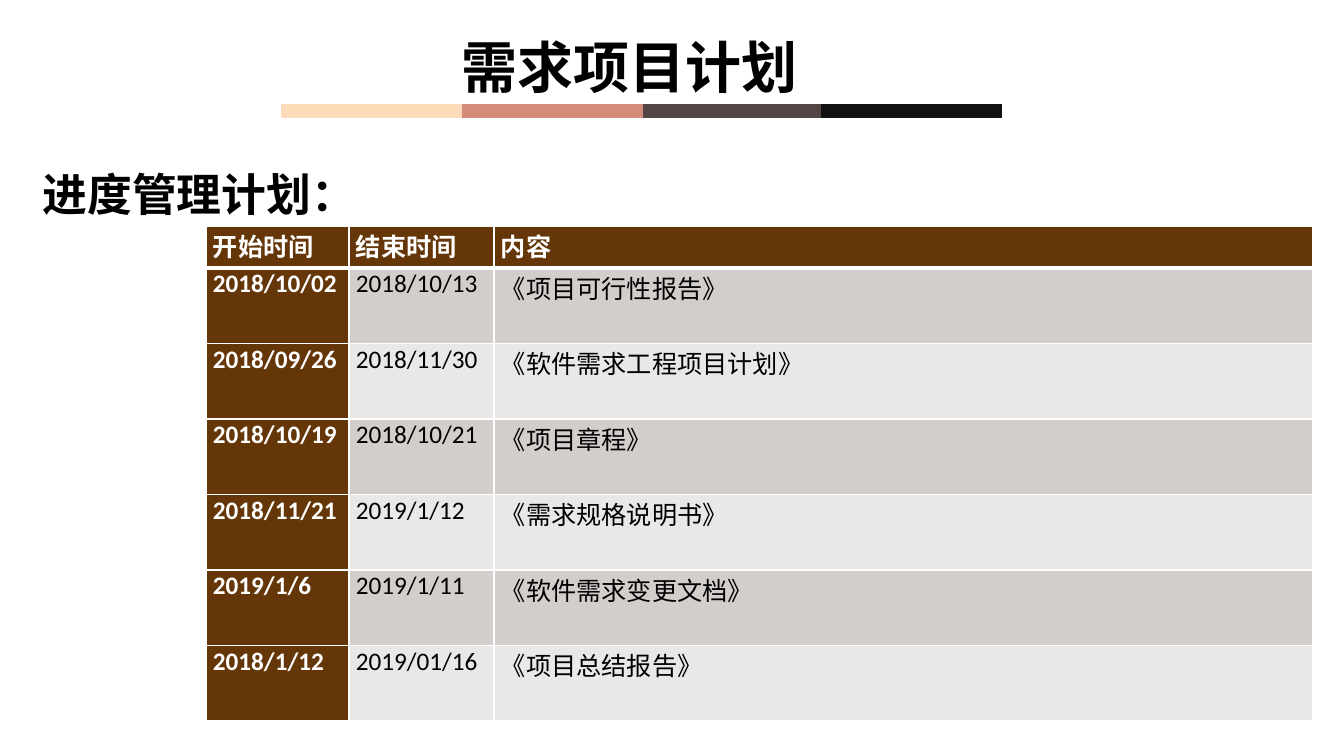
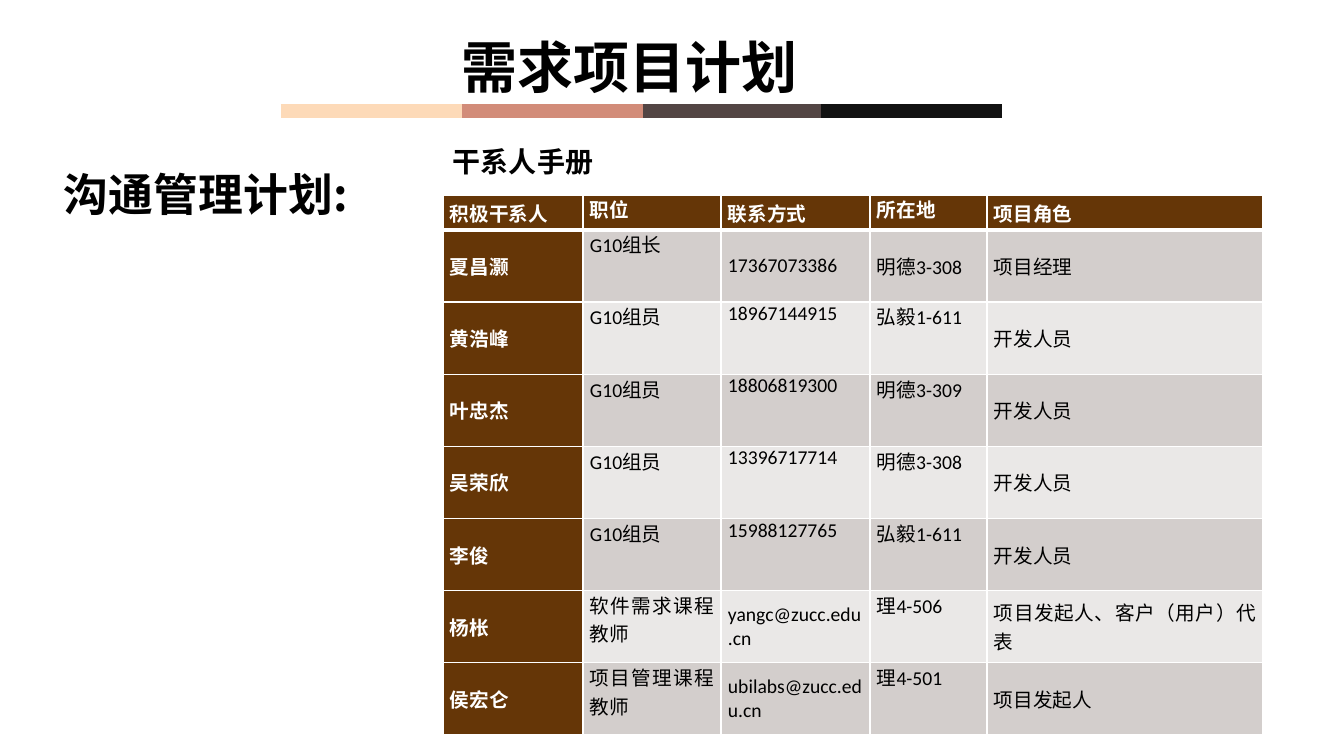
"""Build two project plan slides: the schedule and the stakeholder handbook."""
from dataclasses import dataclass

from lxml import etree
from pptx import Presentation
from pptx import util as u
from pptx.dml.color import RGBColor
from pptx.enum import shapes, text
from pptx.oxml.ns import qn


@dataclass(frozen=True)
class Theme:
    ink: str = "000000"
    paper: str = "FFFFFF"
    brown: str = "653607"
    stripes: tuple = ("D3CECC", "EAE8E7")
    title_font: str = "Quicksand"
    heading_font: str = "Noto Sans CJK SC"
    body_font: str = "Calibri"
    title_size: int = 40
    heading_size: int = 32
    caption_size: int = 20
    band_width: int = 10
    grid_width: int = 1
    header_rule: int = 3


THEME = Theme()
ANCHORS = {"m": text.MSO_ANCHOR.MIDDLE, "t": text.MSO_ANCHOR.TOP}
CENTER = text.PP_ALIGN.CENTER

TITLE = "需求项目计划"
BAND_Y, BAND_LENGTH = 111, 181
BANDS = [(281, "FDDAB8"), (462, "D28C79"), (643, "534544"), (821, "121212")]

SCHEDULE = {
    "heading": ("进度管理计划：", (31, 162, 337, 64)),
    "table": {
        "at": (206, 226), "height": 495, "header": 42,
        "columns": (143, 145, 819), "size": 18, "top": 1, "align": None,
        "rows": [
            ("ttt", "开始时间", "结束时间", "内容"),
            ("ttt", "2018/10/02", "2018/10/13", "《项目可行性报告》"),
            ("ttt", "2018/09/26", "2018/11/30", "《软件需求工程项目计划》"),
            ("ttt", "2018/10/19", "2018/10/21", "《项目章程》"),
            ("ttt", "2018/11/21", "2019/1/12", "《需求规格说明书》"),
            ("ttt", "2019/1/6", "2019/1/11", "《软件需求变更文档》"),
            ("ttt", "2018/1/12", "2019/01/16", "《项目总结报告》"),
        ],
    },
}
STAKEHOLDERS = {
    "heading": ("沟通管理计划:", (48, 162, 301, 64)),
    "caption": ("干系人手册", (443, 140, 161, 44)),
    "table": {
        "at": (443, 195), "height": 540, "header": 35,
        "columns": (140, 138, 149, 117, 276), "size": 14, "top": 0,
        "align": text.PP_ALIGN.JUSTIFY,
        "rows": [
            ("mtmtm", "积极干系人", "职位", "联系方式", "所在地", "项目角色"),
            ("mtmmm", "夏昌灏", "G10组长", "17367073386", "明德3-308", "项目经理"),
            ("mtttm", "黄浩峰", "G10组员", "18967144915", "弘毅1-611", "开发人员"),
            ("mtttm", "叶忠杰", "G10组员", "18806819300", "明德3-309", "开发人员"),
            ("mtttm", "吴荣欣", "G10组员", "13396717714", "明德3-308", "开发人员"),
            ("mtttm", "李俊", "G10组员", "15988127765", "弘毅1-611", "开发人员"),
            ("mtmtm", "杨枨", "软件需求课程教师", "yangc@zucc.edu.cn", "理4-506",
             "项目发起人、客户（用户）代表"),
            ("mtmtm", "侯宏仑", "项目管理课程教师", "ubilabs@zucc.edu.cn", "理4-501",
             "项目发起人"),
        ],
    },
}


def px(length):
    return u.Inches(length / 100.8)


def add_span(para, words, font, size, color, bold=True):
    span = para.add_run()
    span.text = words
    span.font.name = font
    span.font.size = u.Pt(size)
    span.font.bold = bold
    span.font.color.rgb = RGBColor.from_string(color)


def add_label(page, words, at, font, size, align=None, wrap=False):
    box = page.shapes.add_textbox(*map(px, at))
    box.text_frame.word_wrap = wrap
    para = box.text_frame.paragraphs[0]
    para.alignment = align
    add_span(para, words, font, size, THEME.ink)
    return para


def add_band(page, left, color):
    band = page.shapes.add_connector(
        shapes.MSO_CONNECTOR.STRAIGHT,
        px(left), px(BAND_Y), px(left + BAND_LENGTH), px(BAND_Y))
    band.line.width = u.Pt(THEME.band_width)
    band.line.color.rgb = RGBColor.from_string(color)
    etree.SubElement(band._element.spPr, qn("a:effectLst"))


def set_borders(cell, bottom):
    properties = cell._tc.get_or_add_tcPr()
    widths = {"lnL": THEME.grid_width, "lnR": THEME.grid_width,
              "lnT": THEME.grid_width, "lnB": bottom}
    for index, (side, width) in enumerate(widths.items()):
        line = etree.Element(qn("a:" + side), w=str(u.Pt(width)))
        fill = etree.SubElement(line, qn("a:solidFill"))
        etree.SubElement(fill, qn("a:srgbClr"), val=THEME.paper)
        properties.insert(index, line)


def add_grid(page, plan):
    rows, columns = plan["rows"], plan["columns"]
    frame = page.shapes.add_table(
        len(rows), len(columns), *map(px, plan["at"]),
        px(sum(columns)), px(plan["height"]))
    table = frame.table
    for column, width in zip(table.columns, columns):
        column.width = px(width)
    body_height = (plan["height"] - plan["header"]) / (len(rows) - 1)
    for r, (anchors, *entries) in enumerate(rows):
        table.rows[r].height = px(body_height if r else plan["header"])
        for c, (anchor, words) in enumerate(zip(anchors, entries)):
            cell = table.cell(r, c)
            strong = r == 0 or c == 0
            cell.margin_left = cell.margin_right = px(7)
            cell.margin_top, cell.margin_bottom = px(plan["top"]), 0
            cell.vertical_anchor = ANCHORS[anchor]
            cell.fill.solid()
            cell.fill.fore_color.rgb = RGBColor.from_string(
                THEME.brown if strong else THEME.stripes[(r - 1) % 2])
            above_rule = r == 0
            set_borders(cell, THEME.header_rule if above_rule else THEME.grid_width)
            if r == 1:
                cell._tc.tcPr.find(qn("a:lnT")).set("w", str(u.Pt(THEME.header_rule)))
            para = cell.text_frame.paragraphs[0]
            para.alignment = plan["align"]
            add_span(para, words, THEME.body_font, plan["size"],
                     THEME.paper if strong else THEME.ink, strong)


def add_page(deck, plan):
    page = deck.slides.add_slide(deck.slide_layouts[6])
    for left, color in BANDS:
        add_band(page, left, color)
    title = add_label(page, TITLE, (452, 35, 481, 40), THEME.title_font,
                      THEME.title_size, wrap=True)
    title.line_spacing = 0.9
    add_label(page, *plan["heading"], THEME.heading_font, THEME.heading_size, CENTER)
    if "caption" in plan:
        add_label(page, *plan["caption"], THEME.body_font, THEME.caption_size)
    add_grid(page, plan["table"])


def main():
    deck = Presentation()
    deck.slide_width, deck.slide_height = px(1344), px(756)
    for plan in (SCHEDULE, STAKEHOLDERS):
        add_page(deck, plan)
    deck.save("out.pptx")


if __name__ == "__main__":
    main()
